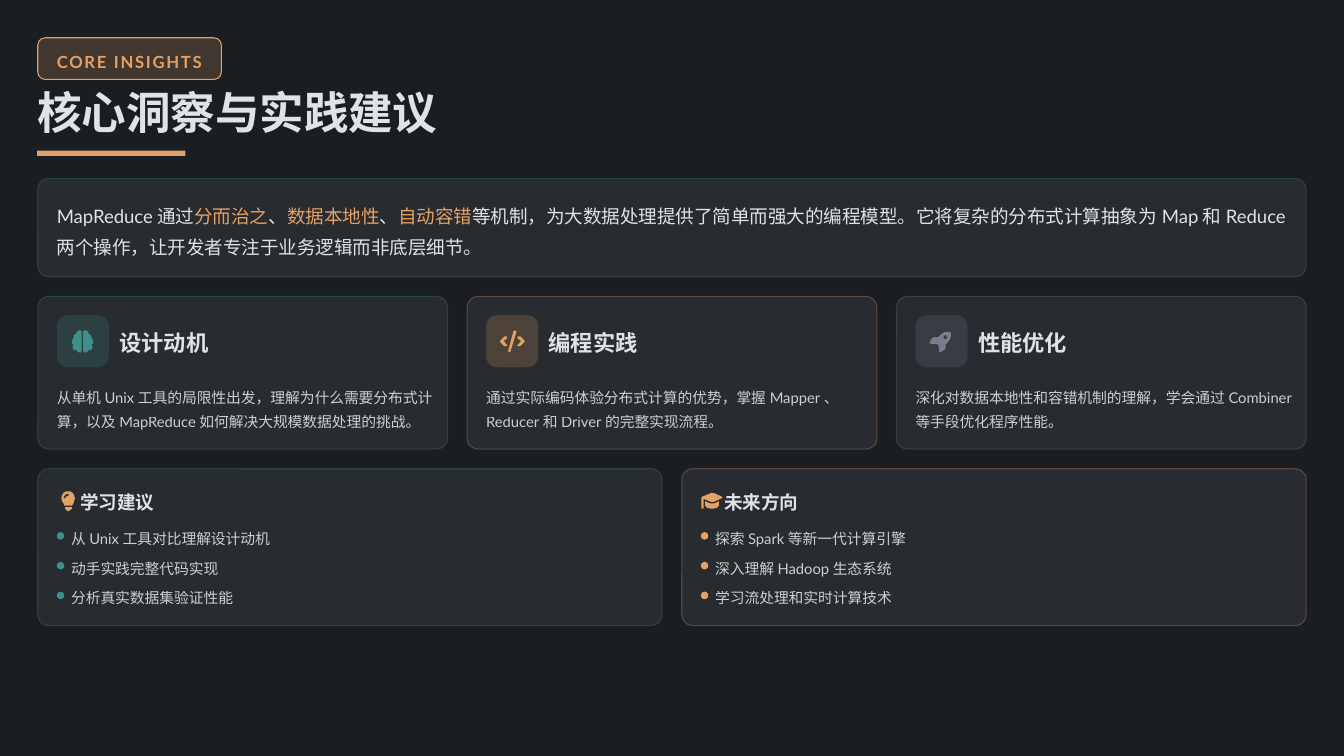
"""Builds a dark summary slide with insight cards and advice lists."""
from lxml import etree
from pptx import Presentation
from pptx.dml.color import RGBColor as RGB
from pptx.enum.shapes import MSO_SHAPE as SHAPE
from pptx.enum.text import MSO_ANCHOR as ANCHOR
from pptx.oxml.ns import qn
from pptx.util import Cm, Pt

HUES = {"back": "1A1D21", "card": "2C2F33", "text": "E0E2E5",
        "teal": "3D8F8A", "gold": "E5A165", "grey": "7A7D8D"}
FONT = "Lato"
EDGE, WIDE, GAP, PAD = 1.27, 42.62, 0.66, 0.64
ROUND = 0.37
UNIT = Cm(2.54) / 100


def flip(pts, width):
    """Mirrors an outline from left to right."""
    return [(width - x, y) for x, y in pts]


LOBE = [(7, 3), (8, 1), (11, 0), (13, 0), (14, 2), (14, 27), (13, 29), (10, 29),
        (8, 28), (7, 26), (4, 26), (2, 24), (2, 21), (3, 19), (1, 17), (1, 13),
        (3, 11), (3, 9), (4, 6), (7, 4)]
ANGLE = [(24, 8), (23, 9), (24, 11), (28, 14), (24, 19), (23, 20), (24, 21),
         (27, 21), (32, 16), (33, 14), (32, 13), (27, 8)]
ICONS = {
    "brain": [LOBE, flip(LOBE, 30)],
    "code": [[(20, 0), (18, 1), (11, 27), (12, 29), (14, 28), (22, 2), (22, 1)],
             ANGLE, flip(ANGLE, 33)],
    "rocket": [[(8, 18), (2, 18), (0, 17), (0, 15), (3, 10), (6, 9), (11, 9),
                (16, 4), (21, 2), (26, 2), (28, 3), (28, 8), (26, 13), (21, 19),
                (21, 24), (19, 26), (14, 29), (12, 28), (12, 22), (11, 19)],
               [(23, 9), (22, 7), (21, 6), (19, 7), (18, 9), (19, 11), (21, 12),
                (22, 11)]],
    "bulb": [[(14, 19), (16, 16), (17, 13), (18, 9), (17, 5), (15, 2), (12, 0),
              (9, 0), (6, 0), (3, 2), (1, 5), (0, 9), (1, 13), (3, 16), (4, 19)],
             [(14, 21), (5, 21), (5, 23), (8, 26), (10, 26), (14, 23)],
             [(9, 6), (6, 7), (5, 9), (4, 10), (3, 9), (4, 6), (6, 4), (9, 3),
              (10, 4), (10, 5)]],
    "cap": [[(3, 10), (13, 14), (16, 14), (27, 9), (28, 8), (27, 7), (16, 2),
             (13, 2), (1, 7), (0, 8), (0, 22), (1, 23), (3, 22)],
            [(5, 13), (5, 19), (8, 22), (14, 23), (20, 22), (23, 19), (23, 13),
             (17, 16), (14, 16), (12, 16)]],
}


def fade(node, alpha):
    """Sets the opacity of the first colour under a node, in percent."""
    hue = next(node.iter(qn("a:srgbClr")))
    etree.SubElement(hue, qn("a:alpha")).set("val", str(alpha * 1000))


def paint(shape, hue, alpha=100):
    """Gives a shape a flat fill with no line or shadow."""
    shape.shadow.inherit = False
    shape.fill.solid()
    shape.fill.fore_color.rgb = RGB.from_string(HUES[hue])
    shape.line.fill.background()
    if alpha < 100:
        fade(shape.fill._xPr.find(qn("a:solidFill")), alpha)


def add_box(slide, kind, left, top, wide, high, hue, alpha=100):
    """Adds a filled preset shape."""
    box = slide.shapes.add_shape(kind, Cm(left), Cm(top), Cm(wide), Cm(high))
    paint(box, hue, alpha)
    return box


def add_round(slide, left, top, wide, high, hue, alpha, edge=None, clear=100, arc=ROUND):
    """Adds a rounded panel, with a border if a colour is named."""
    box = add_box(slide, SHAPE.ROUNDED_RECTANGLE, left, top, wide, high, hue, alpha)
    box.adjustments[0] = arc / min(wide, high)
    if edge:
        box.line.color.rgb = RGB.from_string(HUES[edge])
        box.line.width = Pt(1)
        if clear < 100:
            fade(box.line.fill._xPr, clear)


def add_text(slide, left, top, wide, high, runs, size, space, hue="text",
             bold=False, alpha=100, track=0):
    """Adds a one-paragraph text box from (text, colour) runs or a string."""
    box = slide.shapes.add_textbox(Cm(left), Cm(top), Cm(wide), Cm(high))
    frame = box.text_frame
    frame.word_wrap = True
    frame.vertical_anchor = ANCHOR.MIDDLE
    frame.margin_left = frame.margin_right = frame.margin_top = frame.margin_bottom = 0
    para = frame.paragraphs[0]
    para.line_spacing = space
    font = para.font
    font.name, font.size, font.bold = FONT, Pt(size), bold
    font.color.rgb = RGB.from_string(HUES[hue])
    if alpha < 100:
        fade(para._p, alpha)
    if track:
        font._element.set("spc", str(track))
    for text, tint in [(runs, hue)] if isinstance(runs, str) else runs:
        run = para.add_run()
        run.text = text
        if tint != hue:
            run.font.color.rgb = RGB.from_string(HUES[tint])


def add_icon(slide, name, left, top, hue):
    """Draws a named icon from its outlines."""
    first, *rest = ICONS[name]
    pen = slide.shapes.build_freeform(*first[0], scale=UNIT)
    pen.add_line_segments(first[1:])
    for pts in rest:
        pen.move_to(*pts[0])
        pen.add_line_segments(pts[1:])
    paint(pen.convert_to_shape(Cm(left), Cm(top)), hue)


def add_head(slide):
    """Adds the tag, the title and its underline."""
    add_round(slide, EDGE, 1.27, 6.17, 1.4, "gold", 20, "gold", arc=0.25)
    add_text(slide, EDGE + PAD, 1.6, 5.18, 0.74, "CORE INSIGHTS", 15.9, 1.3,
             "gold", True, track=160)
    add_text(slide, 1.25, 3.18, 43.4, 1.5, "核心洞察与实践建议", 42.4, 0.8, bold=True)
    add_box(slide, SHAPE.RECTANGLE, 1.25, 5.06, 4.98, 0.18, "gold")


def add_intro(slide):
    """Adds the summary panel with its highlighted terms."""
    add_round(slide, EDGE, 6, WIDE, 3.3, "card", 80, "teal", 30)
    runs = [("MapReduce通过", "text"), ("分而治之", "gold"), ("、", "text"),
            ("数据本地性", "gold"), ("、", "text"), ("自动容错", "gold"),
            ("等机制，为大数据处理提供了简单而强大的编程模型。它将复杂的分布式计算抽象为"
             "Map和Reduce两个操作，让开发者专注于业务逻辑而非底层细节。", "text")]
    add_text(slide, EDGE + PAD, 6.63, 41.66, 2.03, runs, 17.7, 1.4)


def add_card(slide, left, wide, hue, icon, inset, title, body):
    """Adds a card with an icon tile, a title and a body."""
    add_round(slide, left, 9.96, wide, 5.13, "card", 80, hue, 30)
    add_round(slide, left + PAD, 10.59, 1.75, 1.75, hue, 20)
    add_icon(slide, icon, left + PAD + inset, 11.1, hue)
    add_text(slide, left + 2.74, 10.97, 3.38, 0.99, title, 21.2, 1.1, bold=True)
    add_text(slide, left + PAD, 12.83, 12.75, 1.63, body, 14.1, 1.4, alpha=90)


def add_list(slide, left, wide, hue, icon, inset, shift, title, items):
    """Adds a panel with an icon, a title and dotted items."""
    add_round(slide, left, 15.75, wide, 5.27, "card", 80, hue, 30)
    add_icon(slide, icon, left + inset, 16.51, "gold")
    add_text(slide, left + shift, 16.38, 19.23, 0.86, title, 17.7, 1.2, bold=True)
    for row, (span, item) in enumerate(items):
        add_box(slide, SHAPE.OVAL, left + PAD, 17.88 + row, 0.25, 0.25, hue)
        add_text(slide, left + 1.12, 17.63 + row, span, 0.74, item, 14.1, 1.3, alpha=90)


def main():
    """Builds and saves the slide."""
    deck = Presentation()
    deck.slide_width, deck.slide_height = Cm(45.16), Cm(25.4)
    slide = deck.slides.add_slide(deck.slide_layouts[6])
    slide.background.fill.solid()
    slide.background.fill.fore_color.rgb = RGB.from_string(HUES["back"])
    add_head(slide)
    add_intro(slide)
    cards = [
        ("teal", "brain", 0.48, "设计动机",
         "从单机Unix工具的局限性出发，理解为什么需要分布式计算，以及MapReduce如何解决大规模数据处理的挑战。"),
        ("gold", "code", 0.46, "编程实践",
         "通过实际编码体验分布式计算的优势，掌握Mapper、Reducer和Driver的完整实现流程。"),
        ("grey", "rocket", 0.48, "性能优化",
         "深化对数据本地性和容错机制的理解，学会通过Combiner等手段优化程序性能。")]
    wide = (WIDE - 2 * GAP) / 3
    for col, card in enumerate(cards):
        add_card(slide, EDGE + col * (wide + GAP), wide, *card)
    lists = [
        ("teal", "bulb", 0.79, 1.42, "学习建议",
         [(6.73, "从Unix工具对比理解设计动机"), (5.23, "动手实践完整代码实现"),
          (5.74, "分析真实数据集验证性能")]),
        ("gold", "cap", 0.66, 1.42, "未来方向",
         [(6.55, "探索Spark等新一代计算引擎"), (6.02, "深入理解Hadoop生态系统"),
          (6.22, "学习流处理和实时计算技术")])]
    wide = (WIDE - GAP) / 2
    for col, group in enumerate(lists):
        add_list(slide, EDGE + col * (wide + GAP), wide, *group)
    deck.save("out.pptx")


if __name__ == "__main__":
    main()
